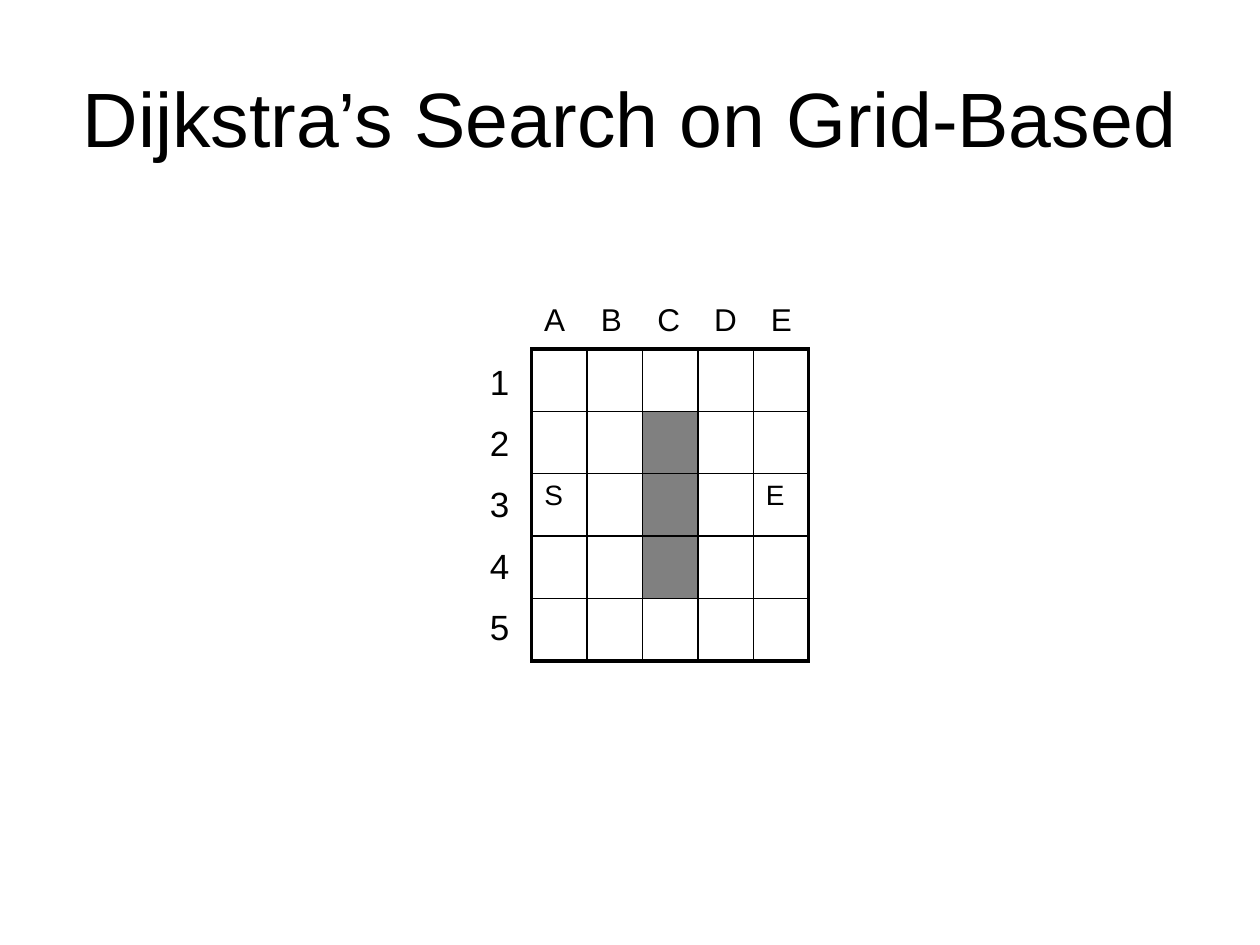
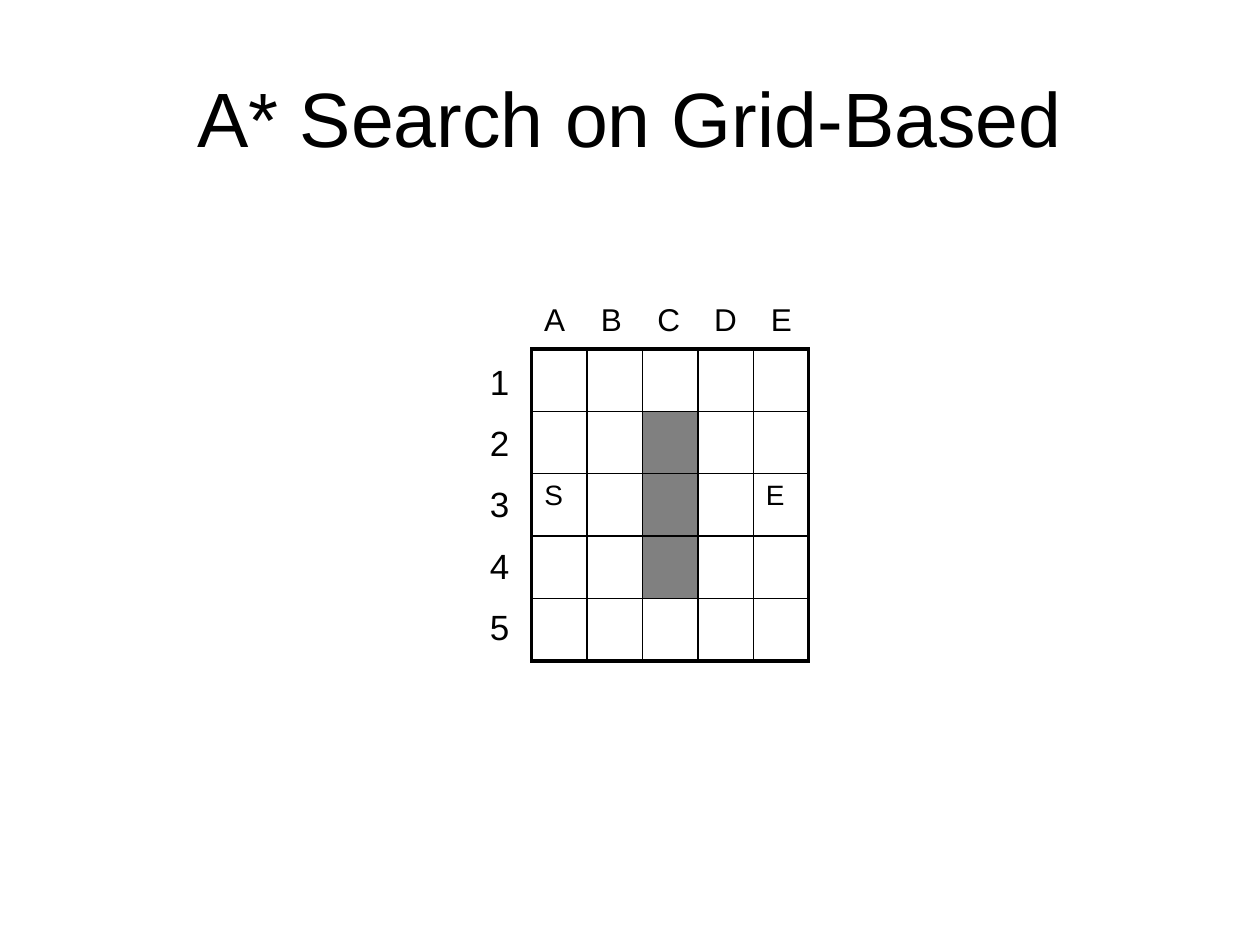
from dataclasses import dataclass

from lxml.etree import SubElement
from pptx import Presentation
from pptx.dml.color import RGBColor
from pptx.enum.text import MSO_ANCHOR, MSO_AUTO_SIZE, PP_ALIGN
from pptx.oxml.ns import qn
from pptx.util import Inches, Pt

TITLES = ["Dijkstra’s Search on Grid-Based", "A* Search on Grid-Based"]
COLUMN_NAMES = ["A", "B", "C", "D", "E"]
ROW_NAMES = ["1", "2", "3", "4", "5"]
MARKS = {"A3": "S", "E3": "E"}
WALLS = {"C2", "C3", "C4"}


@dataclass(frozen=True)
class Theme:
    font: str = "Arial"
    ink: str = "000000"
    wall: str = "808080"
    title_size: int = 44
    row_size: int = 20
    column_size: int = 18
    mark_size: int = 16
    row_gap: int = 11
    inner_line: float = 1
    outer_line: float = 2.25


THEME = Theme()
SLIDE_WIDTH, SLIDE_HEIGHT = 10, 7.5
TITLE_FRAME = (0.5, 0.3, SLIDE_WIDTH - 1, 1.25)
GRID_LEFT, GRID_TOP = 4.22, 2.77
CELL_WIDTH, CELL_HEIGHT = 0.44, 0.495
GRID_WIDTH = CELL_WIDTH * len(COLUMN_NAMES)
GRID_HEIGHT = CELL_HEIGHT * len(ROW_NAMES)
ROW_LABEL_FRAME = (3.43, 2.81, 0.71, 2.43)
COLUMN_LABEL_FRAME = (GRID_LEFT, 2.33, GRID_WIDTH, 0.4)
COLUMN_LABEL_STEP = 0.45


def add_span(para, text, size):
    span = para.add_run()
    span.text = text
    span.font.name = THEME.font
    span.font.size = Pt(size)
    span.font.color.rgb = RGBColor.from_string(THEME.ink)


def add_label_box(page, frame):
    box = page.shapes.add_textbox(*map(Inches, frame))
    box.text_frame.word_wrap = True
    return box.text_frame


def add_title(page, text):
    title = page.shapes.title
    title.left, title.top, title.width, title.height = map(Inches, TITLE_FRAME)
    frame = title.text_frame
    frame.auto_size = MSO_AUTO_SIZE.NONE
    frame.vertical_anchor = MSO_ANCHOR.MIDDLE
    para = frame.paragraphs[0]
    para.alignment = PP_ALIGN.CENTER
    add_span(para, text, THEME.title_size)


def set_borders(cell, row, column):
    outer_sides = {
        "lnL": column == 0,
        "lnR": column == len(COLUMN_NAMES) - 1,
        "lnT": row == 0,
        "lnB": row == len(ROW_NAMES) - 1,
    }
    properties = cell._tc.get_or_add_tcPr()
    for side, is_outer in outer_sides.items():
        width = THEME.outer_line if is_outer else THEME.inner_line
        line = SubElement(properties, qn(f"a:{side}"), w=str(Pt(width)))
        fill = SubElement(line, qn("a:solidFill"))
        SubElement(fill, qn("a:srgbClr"), val=THEME.ink)


def add_grid(page):
    frame = (GRID_LEFT, GRID_TOP, GRID_WIDTH, GRID_HEIGHT)
    table = page.shapes.add_table(
        len(ROW_NAMES), len(COLUMN_NAMES), *map(Inches, frame)
    ).table
    table.first_row = False
    table.horz_banding = False
    for row, row_name in enumerate(ROW_NAMES):
        for column, column_name in enumerate(COLUMN_NAMES):
            cell = table.cell(row, column)
            name = column_name + row_name
            set_borders(cell, row, column)
            if name in WALLS:
                cell.fill.solid()
                cell.fill.fore_color.rgb = RGBColor.from_string(THEME.wall)
            else:
                cell.fill.background()
            if name in MARKS:
                para = cell.text_frame.paragraphs[0]
                add_span(para, MARKS[name], THEME.mark_size)


def add_row_labels(page):
    frame = add_label_box(page, ROW_LABEL_FRAME)
    for index, name in enumerate(ROW_NAMES):
        para = frame.add_paragraph() if index else frame.paragraphs[0]
        para.alignment = PP_ALIGN.RIGHT
        if index:
            para.space_before = Pt(THEME.row_gap)
        add_span(para, name, THEME.row_size)


def add_column_labels(page):
    para = add_label_box(page, COLUMN_LABEL_FRAME).paragraphs[0]
    stops = SubElement(para._p.get_or_add_pPr(), qn("a:tabLst"))
    for index in range(1, len(COLUMN_NAMES)):
        position = Inches(COLUMN_LABEL_STEP * index)
        SubElement(stops, qn("a:tab"), pos=str(position), algn="l")
    add_span(para, "\t".join(COLUMN_NAMES), THEME.column_size)


def main():
    deck = Presentation()
    deck.slide_width = Inches(SLIDE_WIDTH)
    deck.slide_height = Inches(SLIDE_HEIGHT)
    title_only = deck.slide_layouts.get_by_name("Title Only")
    for title in TITLES:
        page = deck.slides.add_slide(title_only)
        add_title(page, title)
        add_grid(page)
        add_row_labels(page)
        add_column_labels(page)
    deck.save("out.pptx")


if __name__ == "__main__":
    main()
